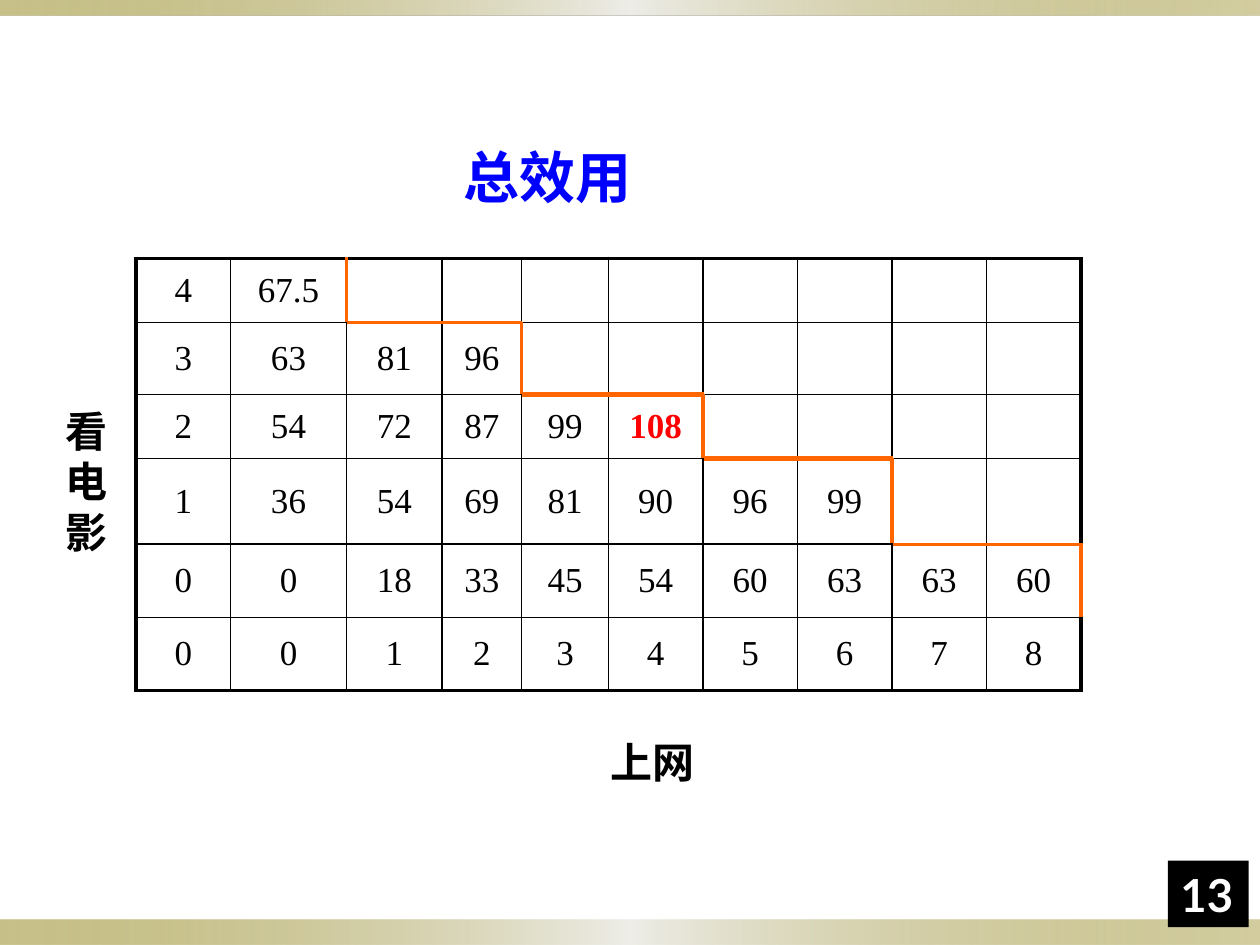
import dataclasses

import lxml.etree
import pptx
import pptx.dml.color
import pptx.enum.shapes
import pptx.enum.text
import pptx.oxml
import pptx.oxml.ns
import pptx.util

Inches = pptx.util.Inches
Pt = pptx.util.Pt
qn = pptx.oxml.ns.qn
Anchor = pptx.enum.text.MSO_ANCHOR
Align = pptx.enum.text.PP_ALIGN


@dataclasses.dataclass(frozen=True)
class Theme:
    ink: str = "000000"
    paper: str = "FFFFFF"
    heading: str = "0000FF"
    optimum: str = "FF0000"
    budget: str = "FF6600"
    band_edge: str = "918415"
    band_middle: str = "EEEDE8"
    serif: str = "Times New Roman"
    sans: str = "Lato"
    title_size: int = 32
    page_size: int = 26
    label_size: int = 24
    cell_size: int = 20
    outer_line: float = 2.25
    inner_line: float = 1


THEME = Theme()

UTILITY = [
    ["4", "67.5"],
    ["3", "63", "81", "96"],
    ["2", "54", "72", "87", "99", "108"],
    ["1", "36", "54", "69", "81", "90", "96", "99"],
    ["0", "0", "18", "33", "45", "54", "60", "63", "63", "60"],
    ["0", "0", "1", "2", "3", "4", "5", "6", "7", "8"],
]
OPTIMUM = "108"
COLUMN_WIDTHS = [0.75, 0.92, 0.76, 0.63, 0.69] + [0.75] * 5
ROW_HEIGHTS = [0.51, 0.57, 0.51, 0.68, 0.58, 0.58]
BUDGET_RISERS = [2.25, 2.25, 3, 3, 2.25]
BUDGET_TREADS = [2.25, 3, 3, 2.25]


def rgb(color):
    return pptx.dml.color.RGBColor.from_string(color)


def add_run(paragraph, text, size, color=THEME.ink, bold=True, font=THEME.serif):
    run = paragraph.add_run()
    run.text = text
    run.font.name = font
    run.font.size = Pt(size)
    run.font.bold = bold
    run.font.color.rgb = rgb(color)


def add_plain_rectangle(slide, left, top, width, height):
    rectangle = slide.shapes.add_shape(
        pptx.enum.shapes.MSO_SHAPE.RECTANGLE,
        Inches(left), Inches(top), Inches(width), Inches(height))
    rectangle.shadow.inherit = False
    rectangle.line.fill.background()
    return rectangle


def add_band(slide, top, height):
    band = add_plain_rectangle(slide, 0, top, 10, height)
    band.fill.gradient()
    band.fill.gradient_angle = 0
    stops = band.fill._fill._gradFill.find(qn("a:gsLst"))
    for stop in list(stops):
        stops.remove(stop)
    for position, color, opacity in [
            (0, THEME.band_edge, 50), (50, THEME.band_middle, 100),
            (100, THEME.band_edge, 40)]:
        stop = lxml.etree.SubElement(stops, qn("a:gs"), pos=str(position * 1000))
        tint = lxml.etree.SubElement(stop, qn("a:srgbClr"), val=color)
        lxml.etree.SubElement(tint, qn("a:alpha"), val=str(opacity * 1000))


def add_title(slide, text):
    title = slide.shapes.title
    title.left, title.top = Inches(3.58), Inches(1.08)
    title.width, title.height = Inches(2.92), Inches(0.63)
    title.text_frame.vertical_anchor = Anchor.TOP
    title.text_frame.auto_size = pptx.enum.text.MSO_AUTO_SIZE.NONE
    paragraph = title.text_frame.paragraphs[0]
    paragraph.alignment = Align.LEFT
    add_run(paragraph, text, THEME.title_size, THEME.heading)


def add_axis_label(slide, text, left, top, width, height):
    label = slide.shapes.add_textbox(
        Inches(left), Inches(top), Inches(width), Inches(height))
    label.text_frame.word_wrap = True
    add_run(label.text_frame.paragraphs[0], text, THEME.label_size)


def vertical_edge(row, boundary):
    if row < len(BUDGET_RISERS) and boundary == len(UTILITY[row]):
        return THEME.budget, BUDGET_RISERS[row]
    outer = boundary in (0, len(COLUMN_WIDTHS))
    return THEME.ink, THEME.outer_line if outer else THEME.inner_line


def horizontal_edge(boundary, column):
    if 1 <= boundary <= len(BUDGET_TREADS):
        if len(UTILITY[boundary - 1]) <= column < len(UTILITY[boundary]):
            return THEME.budget, BUDGET_TREADS[boundary - 1]
    outer = boundary in (0, len(ROW_HEIGHTS))
    return THEME.ink, THEME.outer_line if outer else THEME.inner_line


def set_borders(cell, row, column):
    properties = cell._tc.get_or_add_tcPr()
    edges = {
        "a:lnL": vertical_edge(row, column),
        "a:lnR": vertical_edge(row, column + 1),
        "a:lnT": horizontal_edge(row, column),
        "a:lnB": horizontal_edge(row + 1, column),
    }
    for order, (side, (color, width)) in enumerate(edges.items()):
        border = lxml.etree.Element(qn(side), w=str(int(Pt(width))))
        fill = lxml.etree.SubElement(border, qn("a:solidFill"))
        lxml.etree.SubElement(fill, qn("a:srgbClr"), val=color)
        properties.insert(order, border)


def add_utility_table(slide):
    table = slide.shapes.add_table(
        len(ROW_HEIGHTS), len(COLUMN_WIDTHS), Inches(1.08), Inches(2.05),
        Inches(sum(COLUMN_WIDTHS)), Inches(sum(ROW_HEIGHTS))).table
    table.first_row = False
    table.horz_banding = False
    for column, width in zip(table.columns, COLUMN_WIDTHS):
        column.width = Inches(width)
    for row, height in enumerate(ROW_HEIGHTS):
        table.rows[row].height = Inches(height)
        for column in range(len(COLUMN_WIDTHS)):
            cell = table.cell(row, column)
            cell.fill.background()
            cell.vertical_anchor = Anchor.MIDDLE
            set_borders(cell, row, column)
            if column < len(UTILITY[row]):
                value = UTILITY[row][column]
                best = value == OPTIMUM
                paragraph = cell.text_frame.paragraphs[0]
                paragraph.alignment = Align.CENTER
                add_run(paragraph, value, THEME.cell_size,
                        THEME.optimum if best else THEME.ink, best)


def add_page_number(slide, number):
    badge = add_plain_rectangle(slide, 9.27, 6.83, 0.64, 0.53)
    badge.fill.solid()
    badge.fill.fore_color.rgb = rgb(THEME.ink)
    badge.text_frame.vertical_anchor = Anchor.BOTTOM
    paragraph = badge.text_frame.paragraphs[0]
    paragraph.alignment = Align.LEFT
    add_run(paragraph, number, THEME.page_size, THEME.paper, font=THEME.sans)


def main():
    deck = pptx.Presentation()
    deck.slide_width, deck.slide_height = Inches(10), Inches(7.5)
    slide = deck.slides.add_slide(deck.slide_layouts.get_by_name("Title Only"))
    slide.background.fill.solid()
    slide.background.fill.fore_color.rgb = rgb(THEME.paper)
    add_band(slide, 7.3, 0.2)
    add_band(slide, 0, 0.12)
    add_utility_table(slide)
    add_axis_label(slide, "看电影", 0.42, 3.17, 0.58, 1.3)
    add_axis_label(slide, "上网", 4.75, 5.8, 1.25, 0.5)
    add_title(slide, "总效用")
    add_page_number(slide, "13")
    deck.save("out.pptx")


if __name__ == "__main__":
    main()
